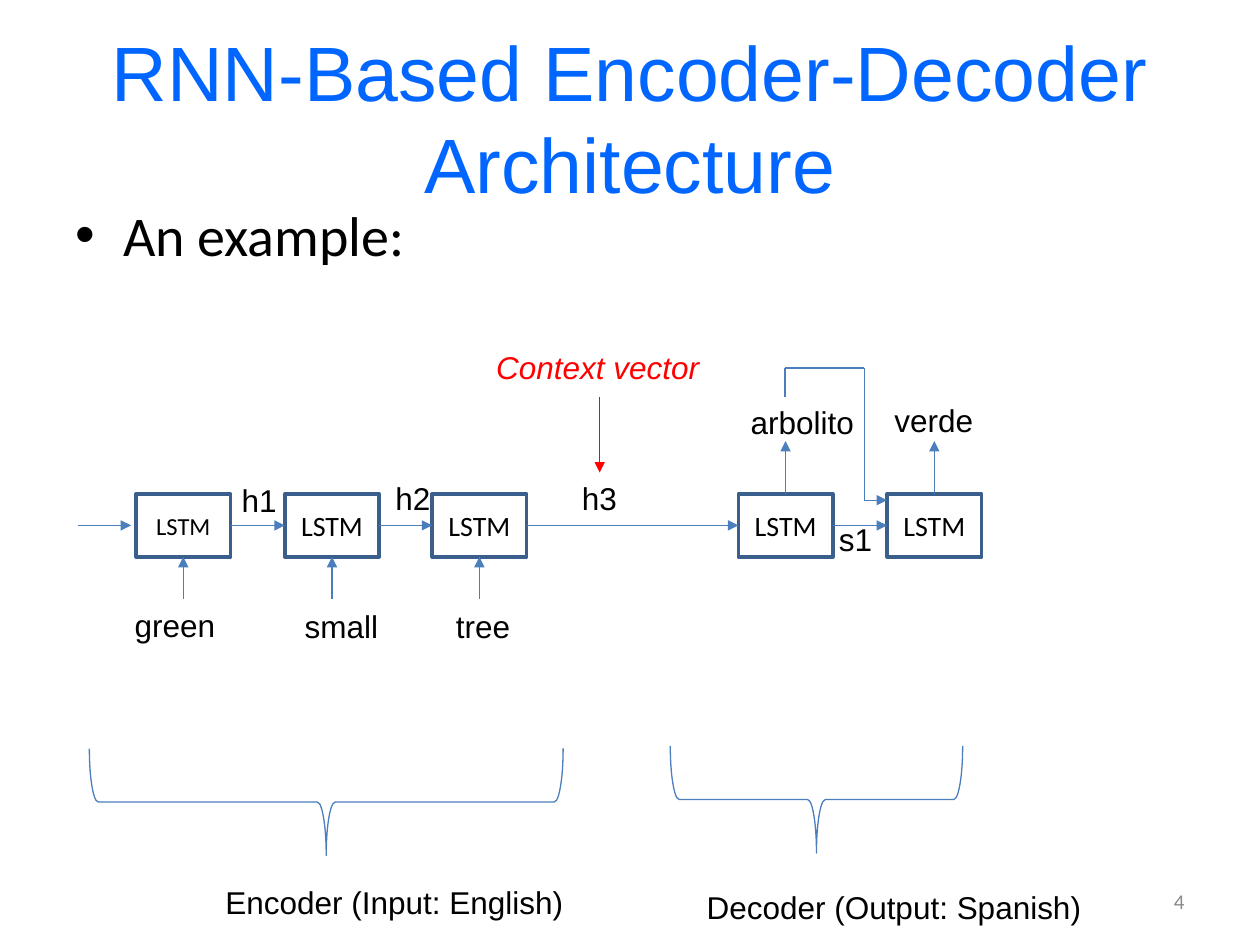
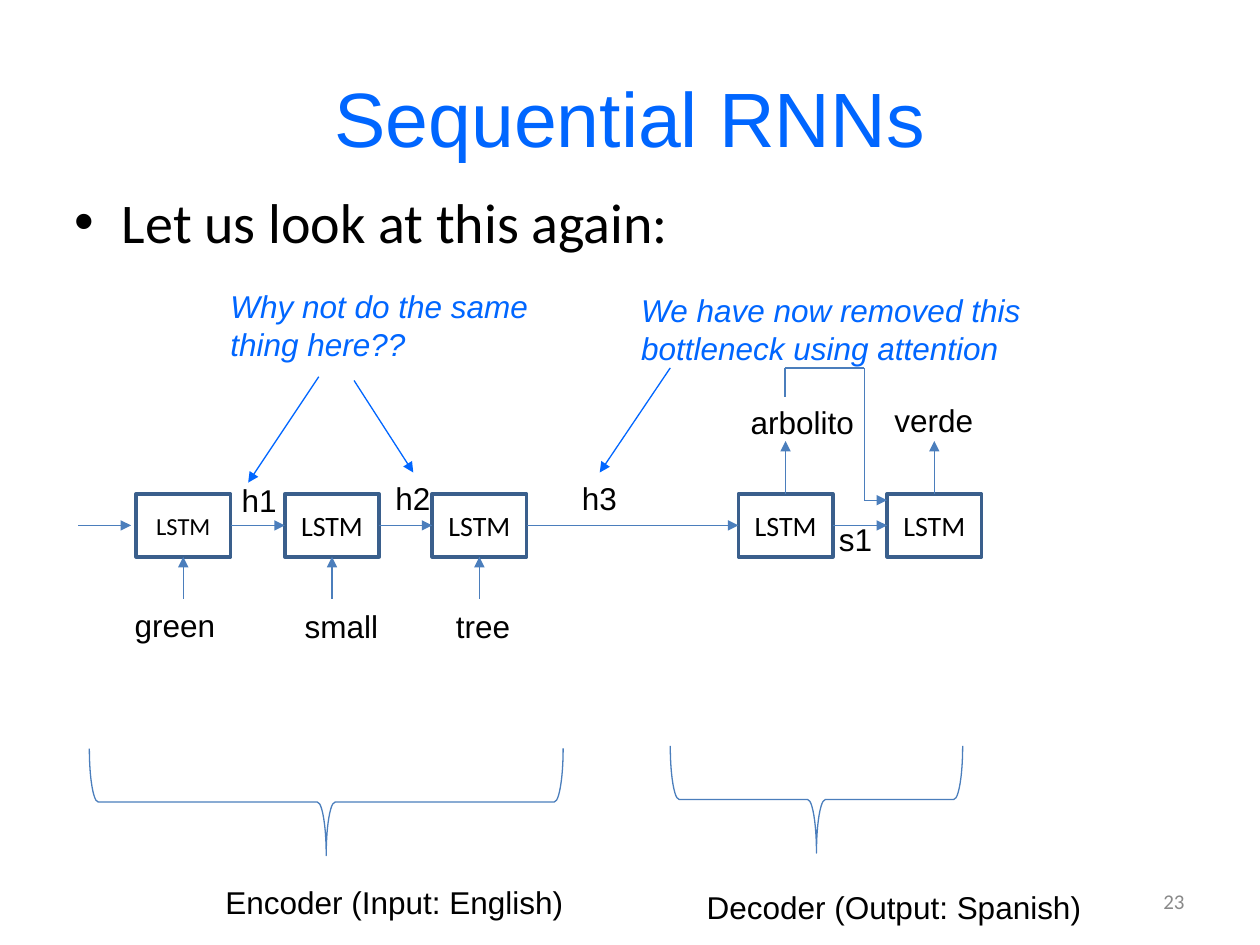
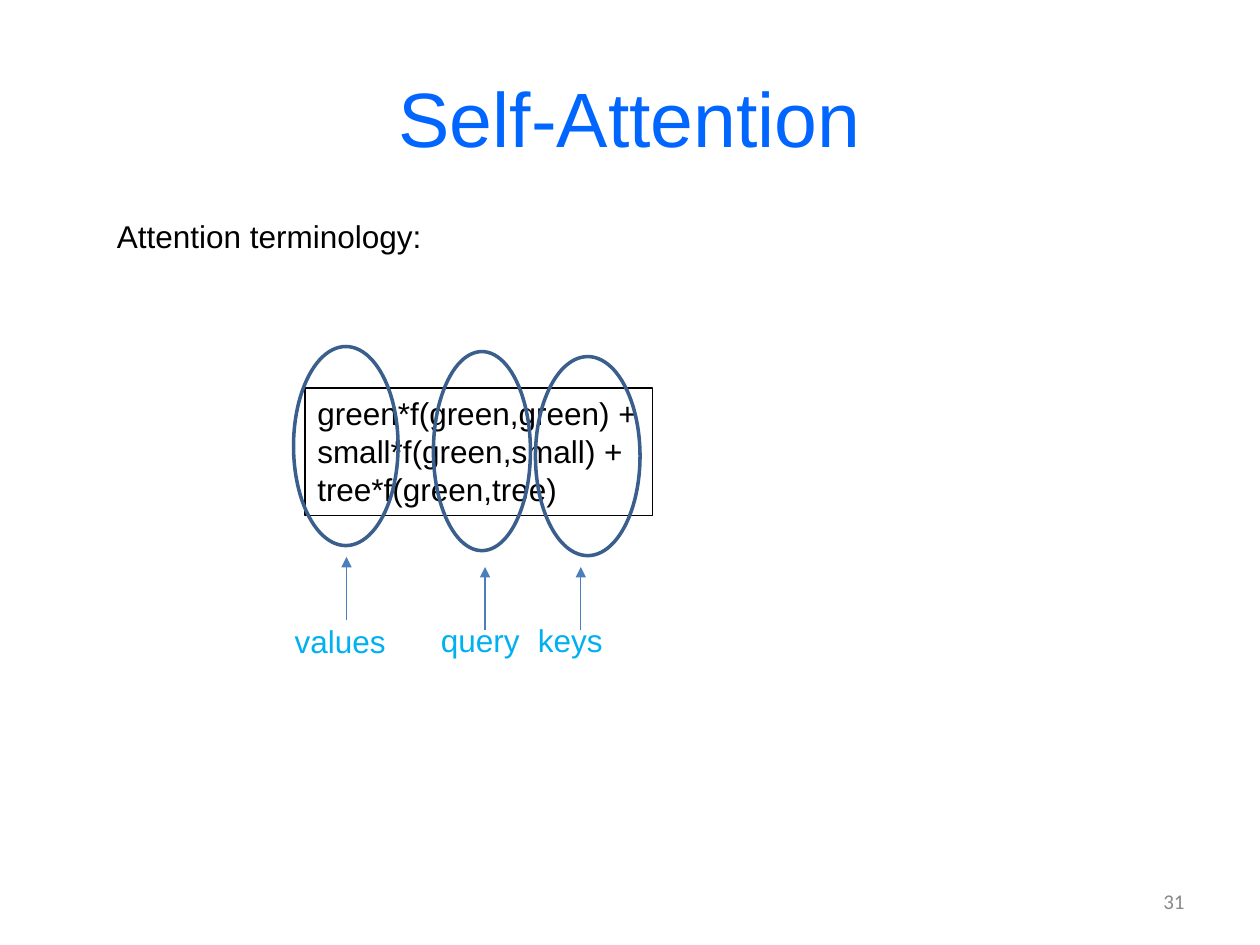
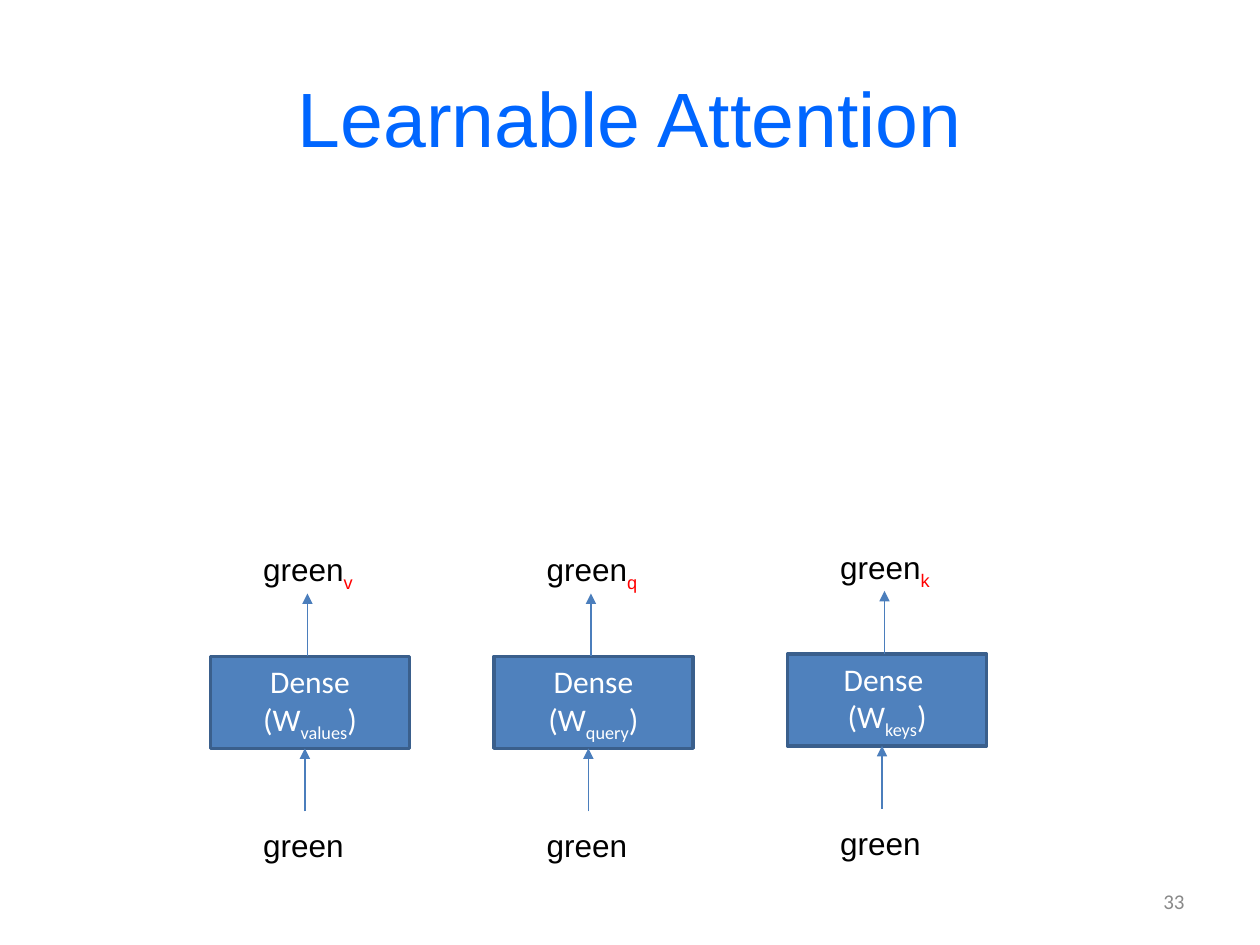
"""Build four slides on encoder-decoder networks and attention."""
from dataclasses import dataclass
from itertools import pairwise

from pptx import Presentation
from pptx import util as u
from pptx.dml.color import RGBColor
from pptx.enum import shapes, text
from pptx.oxml.ns import qn
from lxml import etree

COLS, ROWS = 10, 7.5
CELL = u.Inches(1)
BOX_W, BOX_H, BOX_TOP = 0.75, 0.5, 3.92
LABEL_H = 0.4


@dataclass(frozen=True)
class Theme:
    """Colours, fonts, type sizes and line widths of the deck."""
    title: str = "0066FF"
    ink: str = "000000"
    red: str = "FF0000"
    term: str = "00B0F0"
    arrow: str = "4B7EBC"
    edge: str = "3A5F8C"
    fill: str = "4F81BD"
    light: str = "FFFFFF"
    number: str = "898989"
    head: str = "Arial"
    body: str = "Calibri"
    title_size: int = 44
    bullet_size: int = 32
    label_size: int = 18
    box_size: int = 16
    first_box_size: int = 14
    number_size: int = 12
    thin: float = 0.75
    thick: float = 2


T = Theme()


def grid(*cells):
    """Turn columns and rows of the slide grid into lengths."""
    return [u.Emu(round(c * CELL)) for c in cells]


def rgb(color):
    """Return a colour object for a hex string."""
    return RGBColor.from_string(color)


def write(sp, paragraphs, size, color, font=T.head, align=None,
          italic=None, sub_color=None):
    """Fill a shape with paragraphs; a tuple holds base, subscript and tail."""
    tf = sp.text_frame
    for i, content in enumerate(paragraphs):
        p = tf.add_paragraph() if i else tf.paragraphs[0]
        p.alignment = align
        p.font.name, p.font.size = font, u.Pt(size)
        p.font.color.rgb, p.font.italic = rgb(color), italic
        parts = (content,) if isinstance(content, str) else content
        for n, part in enumerate(parts):
            r = p.add_run()
            r.text = part
            if n == 1:
                r.font.color.rgb = rgb(sub_color or color)
                r.font._element.set("baseline", "-25000")
    return tf


def frame(s, at, paragraphs, size, color, **style):
    """Add a wrapping text box."""
    sp = s.shapes.add_textbox(*grid(*at))
    tf = write(sp, paragraphs, size, color, **style)
    tf.word_wrap = True
    return tf


def label(s, left, top, width, *paragraphs, color=T.ink, height=LABEL_H, **style):
    """Add a text box that fits its text."""
    sp = s.shapes.add_textbox(*grid(left, top, width, height))
    tf = write(sp, paragraphs, T.label_size, color, **style)
    tf.word_wrap = False
    tf.auto_size = text.MSO_AUTO_SIZE.SHAPE_TO_FIT_TEXT
    return sp


def outline(sp, color, width):
    """Set the line of a shape."""
    sp.line.color.rgb = rgb(color)
    sp.line.width = u.Pt(width)


def shape(s, kind, at, fill=None, edge=T.edge, width=T.thick):
    """Add a preset shape without shadow."""
    sp = s.shapes.add_shape(kind, *grid(*at))
    sp.shadow.inherit = False
    if fill:
        sp.fill.solid()
        sp.fill.fore_color.rgb = rgb(fill)
    else:
        sp.fill.background()
    outline(sp, edge, width)
    return sp


def box(s, at, paragraphs, size, color, fill=None):
    """Add a rectangle with centred text."""
    sp = shape(s, shapes.MSO_SHAPE.RECTANGLE, at, fill)
    tf = write(sp, paragraphs, size, color, font=T.body, align=text.PP_ALIGN.CENTER)
    tf.vertical_anchor = text.MSO_ANCHOR.MIDDLE
    tf.word_wrap = True


def line(s, start, end, color=T.arrow, head=True):
    """Add a straight connector, with an arrowhead if wanted."""
    sp = s.shapes.add_connector(shapes.MSO_CONNECTOR.STRAIGHT, *grid(*start, *end))
    outline(sp, color, T.thin)
    if head:
        ln = sp.line._get_or_add_ln()
        etree.SubElement(ln, qn("a:tailEnd"), type="triangle")
    etree.SubElement(sp._element.spPr, qn("a:effectLst"))


def route(s, *points):
    """Join points by lines that end in an arrowhead."""
    for start, end in pairwise(points):
        line(s, start, end, head=end == points[-1])


def brace(s, left, top, width, height):
    """Add a brace that opens upwards over the given area."""
    turned = left + (width - height) / 2, top + (height - width) / 2, height, width
    sp = shape(s, shapes.MSO_SHAPE.LEFT_BRACE, turned, edge=T.arrow, width=T.thin)
    sp.rotation = 270


def bullet(s, left, top, content):
    """Add a bulleted line of body text."""
    tf = frame(s, (left, top, 9, 0.75), [content], T.bullet_size, T.ink, font=T.body)
    p = tf.paragraphs[0]
    p.space_before = u.Pt(0.2 * T.bullet_size)
    pPr = p._p.get_or_add_pPr()
    indent, = grid(0.38)
    pPr.set("marL", str(indent))
    pPr.set("indent", str(-indent))
    font = etree.Element(qn("a:buFont"), typeface=T.head)
    char = etree.Element(qn("a:buChar"), char="•")
    pPr.find(qn("a:spcBef")).addnext(font)
    font.addnext(char)


def new_slide(prs, title, number):
    """Add a blank slide with its title and number."""
    s = prs.slides.add_slide(prs.slide_layouts[6])
    for at, content, size, color, font, align in (
            ((0.5, 0.3, 9, 1.25), title, T.title_size, T.title, T.head,
             text.PP_ALIGN.CENTER),
            ((7.17, 6.95, 2.33, 0.4), str(number), T.number_size, T.number, T.body,
             text.PP_ALIGN.RIGHT)):
        tf = frame(s, at, [content], size, color, font=font, align=align)
        tf.vertical_anchor = text.MSO_ANCHOR.MIDDLE
    return s


def translator(s):
    """Draw the LSTM chain from the English to the Spanish words."""
    lefts = 1.08, 2.26, 3.43, 5.86, 7.04
    middle, bottom = BOX_TOP + BOX_H / 2, BOX_TOP + BOX_H
    centers = [left + BOX_W / 2 for left in lefts]
    line(s, (0.62, middle), (1.04, middle))
    for i, left in enumerate(lefts):
        size = T.box_size if i else T.first_box_size
        box(s, (left, BOX_TOP, BOX_W, BOX_H), ["LSTM"], size, T.ink)
    for left, following in pairwise(lefts):
        line(s, (left + BOX_W, middle), (following, middle))
    for x in centers[:3]:
        line(s, (x, bottom + 0.33), (x, bottom))
    for x in centers[3:]:
        line(s, (x, BOX_TOP), (x, BOX_TOP - 0.42))
    for left, top, width, word in (
            (0.97, 4.76, 0.85, "green"), (2.32, 4.77, 0.79, "small"),
            (3.52, 4.77, 0.64, "tree"), (1.82, 3.77, 0.48, "h1"),
            (3.04, 3.75, 0.48, "h2"), (4.52, 3.75, 0.48, "h3"),
            (5.86, 3.15, 1.03, "arbolito"), (7, 3.13, 0.83, "verde"),
            (6.56, 4.08, 0.47, "s1"),
            (1.69, 6.96, 2.89, "Encoder (Input: English)"),
            (5.51, 7, 3.2, "Decoder (Output: Spanish)")):
        label(s, left, top, width, word)
    brace(s, 0.71, 5.94, 3.76, 0.85)
    brace(s, 5.32, 5.92, 2.32, 0.85)
    route(s, (6.23, 3.15), (6.23, 2.92), (6.86, 2.92), (6.86, 3.97), (7.04, 3.97))


def architecture(prs):
    """Slide with the encoder-decoder example."""
    s = new_slide(prs, "RNN-Based Encoder-Decoder Architecture", 4)
    bullet(s, 0.5, 1.54, "An example:")
    translator(s)
    line(s, (4.76, 3.15), (4.76, 3.75), T.red)
    label(s, 3.84, 2.71, 1.83, "Context vector", color=T.red, italic=True)


def sequential(prs):
    """Slide that questions the remaining sequential links."""
    s = new_slide(prs, "Sequential RNNs", 23)
    bullet(s, 0.49, 1.44, "Let us look at this again:")
    translator(s)
    for start, end in (((5.32, 2.92), (4.76, 3.75)), ((2.53, 2.99), (1.97, 3.83)),
                       ((2.81, 3.02), (3.28, 3.75))):
        line(s, start, end, T.title)
    note = dict(color=T.title, italic=True, height=0.71)
    label(s, 4.99, 2.26, 3.31, "We have now removed this",
          "bottleneck using attention", **note)
    label(s, 1.73, 2.23, 2.66, "Why not do the same", "thing here??", **note)


def self_attention(prs):
    """Slide that names the parts of an attention sum."""
    s = new_slide(prs, "Self-Attention", 31)
    label(s, 0.83, 1.67, 2.64, "Attention terminology:")
    formula = label(s, 2.42, 3.08, 2.76, "green*f(green,green) +",
                    "small*f(green,small) +", "tree*f(green,tree)", height=1.01)
    outline(formula, T.ink, T.thin)
    for ring, tip, term, at in (
            ((2.33, 2.75, 0.83), (2.75, 4.42), "values", (2.24, 4.89, 0.93)),
            ((3.44, 2.79, 0.77), (3.85, 4.5), "query", (3.4, 4.88, 0.83)),
            ((4.25, 2.83, 0.83), (4.61, 4.5), "keys", (4.17, 4.88, 0.72))):
        shape(s, shapes.MSO_SHAPE.OVAL, (*ring, 1.58))
        line(s, (tip[0], tip[1] + 0.5), tip)
        label(s, *at, term, color=T.term)


def dense_stack(s, left, top, weights, mark):
    """Draw one dense layer with its input and output words."""
    height, reach = 0.73, 0.5
    bottom = top + height
    box(s, (left, top, 1.58, height), weights, T.label_size, T.light, T.fill)
    line(s, (left + 0.75, bottom + reach), (left + 0.75, bottom))
    line(s, (left + 0.77, top), (left + 0.77, top - reach))
    label(s, left + 0.32, top + 1.3, 0.85, "green")
    label(s, left + 0.32, top - 0.89, 0.93, ("green", mark), sub_color=T.red)


def learnable(prs):
    """Slide with the three learnable projections."""
    s = new_slide(prs, "Learnable Attention", 33)
    dense_stack(s, 1.67, 5.21, [("Dense (W", "values", ")")], "v")
    dense_stack(s, 3.92, 5.21, [("Dense (W", "query", ")")], "q")
    dense_stack(s, 6.25, 5.19, ["Dense ", ("(W", "keys", ")")], "k")


def main():
    """Build and save the deck."""
    prs = Presentation()
    prs.slide_width, prs.slide_height = grid(COLS, ROWS)
    for build in (architecture, sequential, self_attention, learnable):
        build(prs)
    prs.save("out.pptx")


if __name__ == "__main__":
    main()
